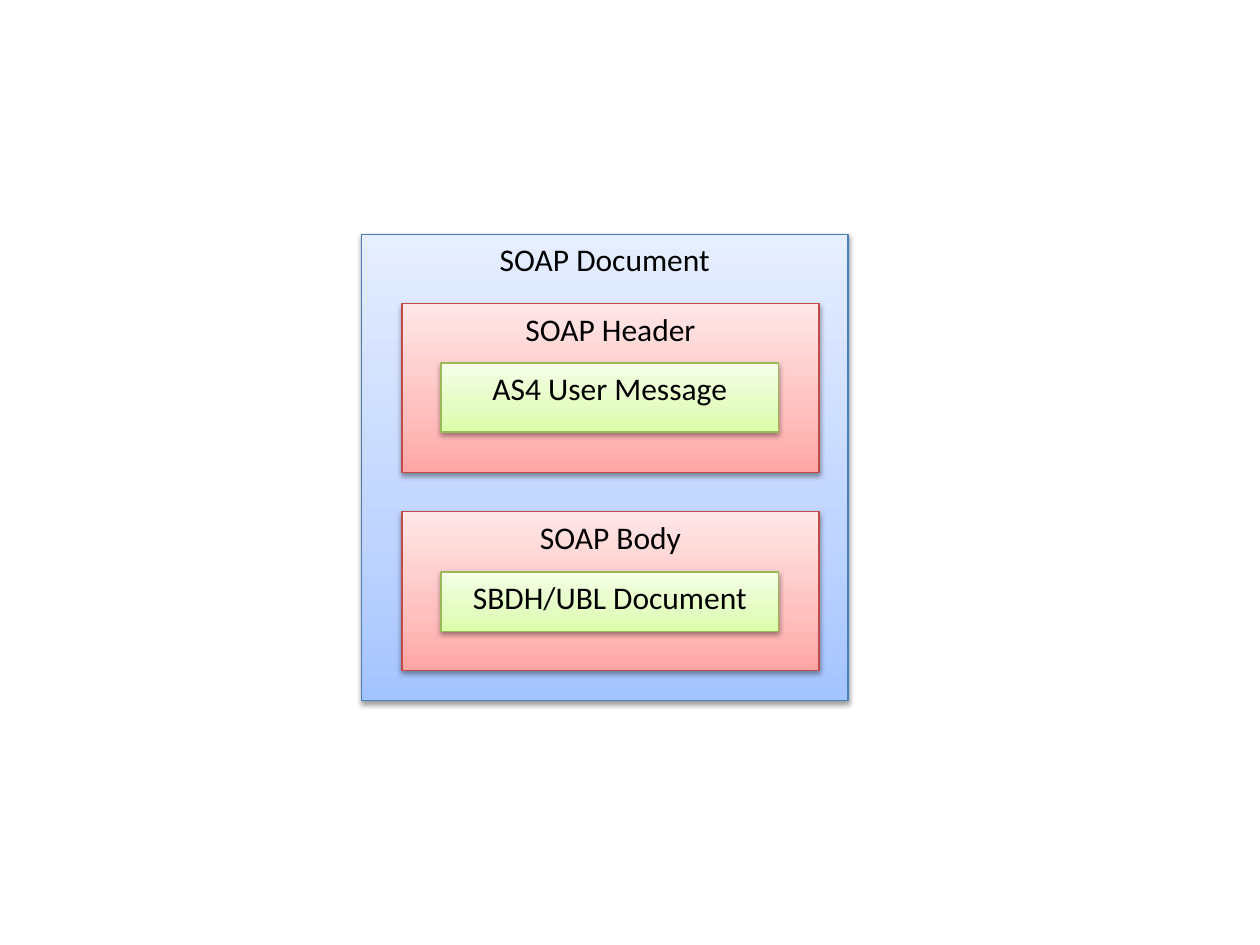
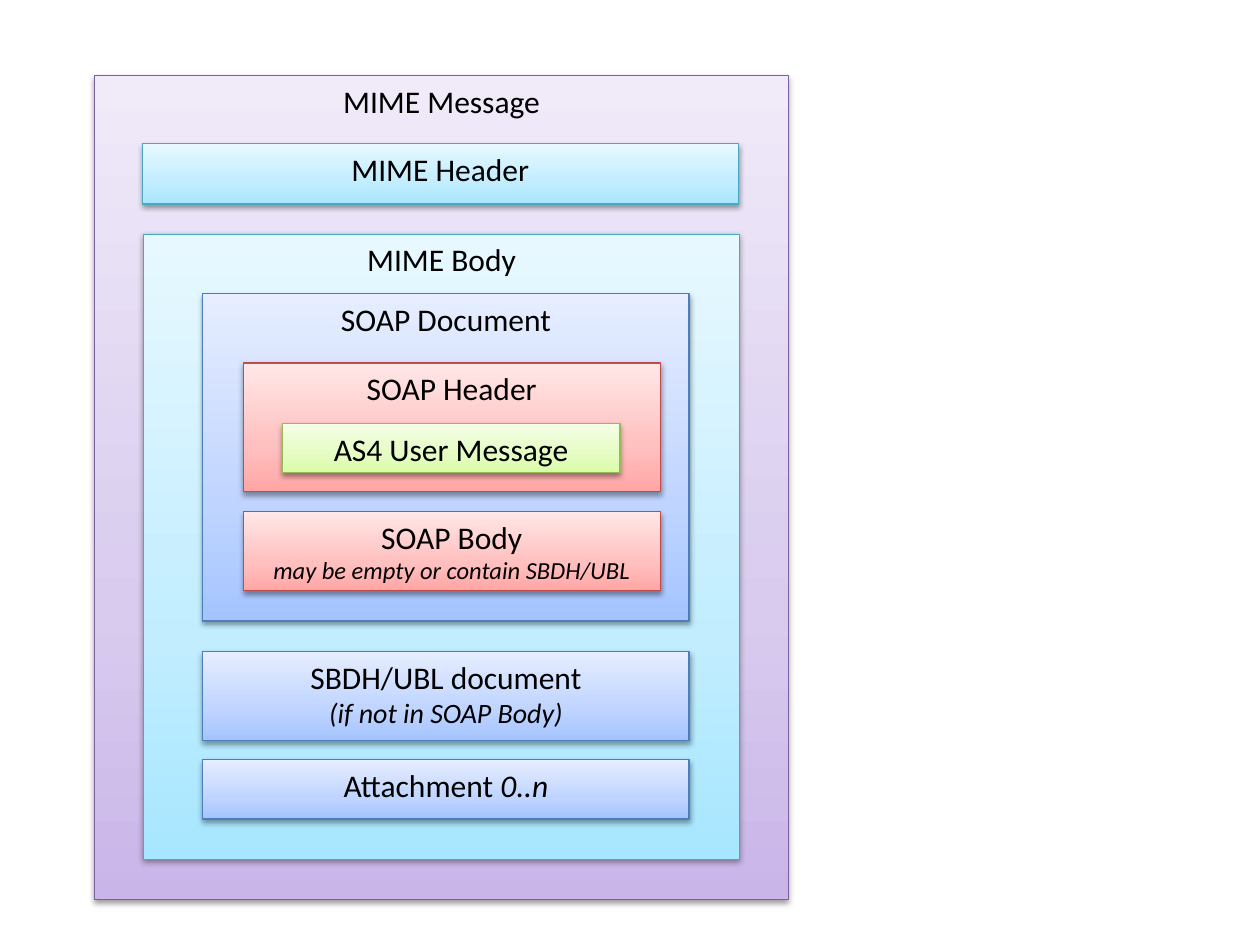
from copy import deepcopy
from dataclasses import dataclass

from lxml import etree
from pptx import Presentation
from pptx.dml.color import RGBColor
from pptx.enum.shapes import MSO_SHAPE
from pptx.enum.text import MSO_ANCHOR, PP_ALIGN
from pptx.oxml.ns import qn
from pptx.util import Inches, Pt


@dataclass(frozen=True)
class Layer:
    """Look and width of one nesting level; its gradient runs bottom to top."""
    gradient: tuple
    border: str
    width: float


@dataclass(frozen=True)
class Theme:
    """Colours, font and type sizes shared by both diagrams."""
    font: str = "Calibri"
    text: str = "000000"
    label_size: int = 18
    remark_size: int = 16
    small_remark_size: int = 14
    border_width: float = 0.75
    gradient_positions: tuple = (0, 0.35, 1)
    message: Layer = Layer(("C9B5E8", "D8CBEE", "F0EAF9"), "7D60A0", 5.51)
    mime: Layer = Layer(("A7E6FF", "C1EDFF", "E7F8FF"), "46AAC5", 4.73)
    document: Layer = Layer(("A4C4FF", "BFD4FF", "E6EEFF"), "4B7EBC", 3.86)
    section: Layer = Layer(("FFA6A5", "FFC0BF", "FFE7E7"), "BF4C48", 3.31)
    payload: Layer = Layer(("DAFDA7", "E4FCC2", "F5FFE7"), "98B955", 2.68)


THEME = Theme()
SECTION_INSET = 0.32   # from the document edge to a SOAP header or body
PAYLOAD_INSET = 0.63   # from the document edge to a payload


def fill_gradient(shape, colours):
    """Fill a shape with a three-stop gradient that rises from the bottom."""
    shape.fill.gradient()
    shape.fill.gradient_angle = 90
    gradient = shape._element.spPr.find(qn("a:gradFill"))
    stop_list = gradient.find(qn("a:gsLst"))
    stop_list.append(deepcopy(stop_list[0]))
    stops = zip(shape.fill.gradient_stops, THEME.gradient_positions, colours)
    for stop, position, colour in stops:
        stop.position = position
        stop.color.rgb = RGBColor.from_string(colour)


def add_shadow(shape):
    """Give a shape a soft shadow that falls straight down."""
    shape.shadow.inherit = False
    effects = shape._element.spPr.find(qn("a:effectLst"))
    shadow = etree.SubElement(
        effects, qn("a:outerShdw"), blurRad=str(Pt(3.1)), dist=str(Pt(1.6)),
        dir="5400000", rotWithShape="0")
    black = etree.SubElement(shadow, qn("a:srgbClr"), val="000000")
    etree.SubElement(black, qn("a:alpha"), val="38000")


def add_text(paragraph, text, size=THEME.label_size, italic=False):
    """Append a formatted run to a centred paragraph."""
    paragraph.alignment = PP_ALIGN.CENTER
    run = paragraph.add_run()
    run.text = text
    run.font.name = THEME.font
    run.font.size = Pt(size)
    run.font.italic = italic
    run.font.color.rgb = RGBColor.from_string(THEME.text)


def add_block(slide, layer, label, left, top, height):
    """Draw a labelled block of a layer and return its text frame."""
    block = slide.shapes.add_shape(
        MSO_SHAPE.RECTANGLE, Inches(left), Inches(top),
        Inches(layer.width), Inches(height))
    fill_gradient(block, layer.gradient)
    block.line.color.rgb = RGBColor.from_string(layer.border)
    block.line.width = Pt(THEME.border_width)
    add_shadow(block)
    frame = block.text_frame
    frame.word_wrap = True
    frame.vertical_anchor = MSO_ANCHOR.TOP
    add_text(frame.paragraphs[0], label)
    return frame


def add_soap_document(slide, left, top, height, header_height, body_height,
                      message_top, message_height):
    """Draw a SOAP document and return the text frame of its body."""
    add_block(slide, THEME.document, "SOAP Document", left, top, height)
    section_left = left + SECTION_INSET
    add_block(slide, THEME.section, "SOAP Header", section_left,
              top + 0.55, header_height)
    body = add_block(slide, THEME.section, "SOAP Body", section_left,
                     4.06, body_height)
    add_block(slide, THEME.payload, "AS4 User Message",
              left + PAYLOAD_INSET, message_top, message_height)
    return body


def build_soap_slide(slide):
    """Show a message that carries its business document in the SOAP body."""
    left = 2.87
    add_soap_document(slide, left, top=1.86, height=3.7, header_height=1.34,
                      body_height=1.26, message_top=2.88, message_height=0.55)
    add_block(slide, THEME.payload, "SBDH/UBL Document",
              left + PAYLOAD_INSET, 4.54, 0.47)


def build_mime_slide(slide):
    """Show a MIME message that wraps SOAP, document and attachments."""
    add_block(slide, THEME.message, "MIME Message", 0.75, 0.6, 6.54)
    add_block(slide, THEME.mime, "MIME Header", 1.13, 1.14, 0.48)
    add_block(slide, THEME.mime, "MIME Body", 1.14, 1.86, 4.96)

    left = 1.61
    body = add_soap_document(
        slide, left, top=2.33, height=2.6, header_height=1.02,
        body_height=0.63, message_top=3.36, message_height=0.39)
    add_text(body.add_paragraph(), "may be empty or contain SBDH/UBL",
             size=THEME.small_remark_size, italic=True)

    business = add_block(slide, THEME.document, "SBDH/UBL document",
                         left, 5.17, 0.71).paragraphs[0]
    business.add_line_break()
    add_text(business, "(if not in SOAP Body)",
             size=THEME.remark_size, italic=True)

    attachment = add_block(slide, THEME.document, "Attachment ",
                           left, 6.03, 0.47).paragraphs[0]
    add_text(attachment, "0..n", italic=True)


def main():
    """Build both message diagrams and save the presentation."""
    deck = Presentation()
    deck.slide_width, deck.slide_height = Inches(10), Inches(7.5)
    blank = deck.slide_layouts[6]
    for build in (build_soap_slide, build_mime_slide):
        build(deck.slides.add_slide(blank))
    deck.save("out.pptx")


main()
